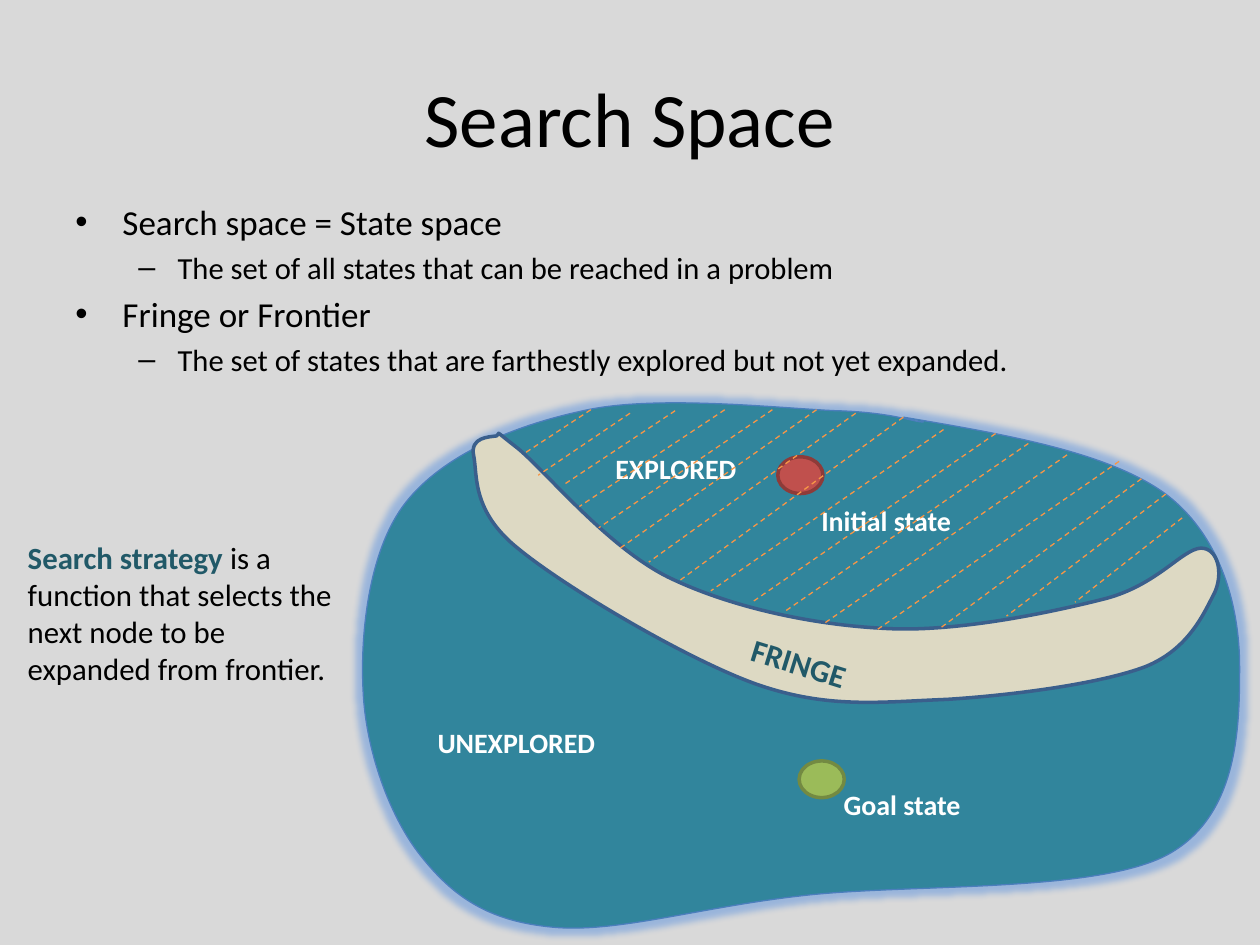
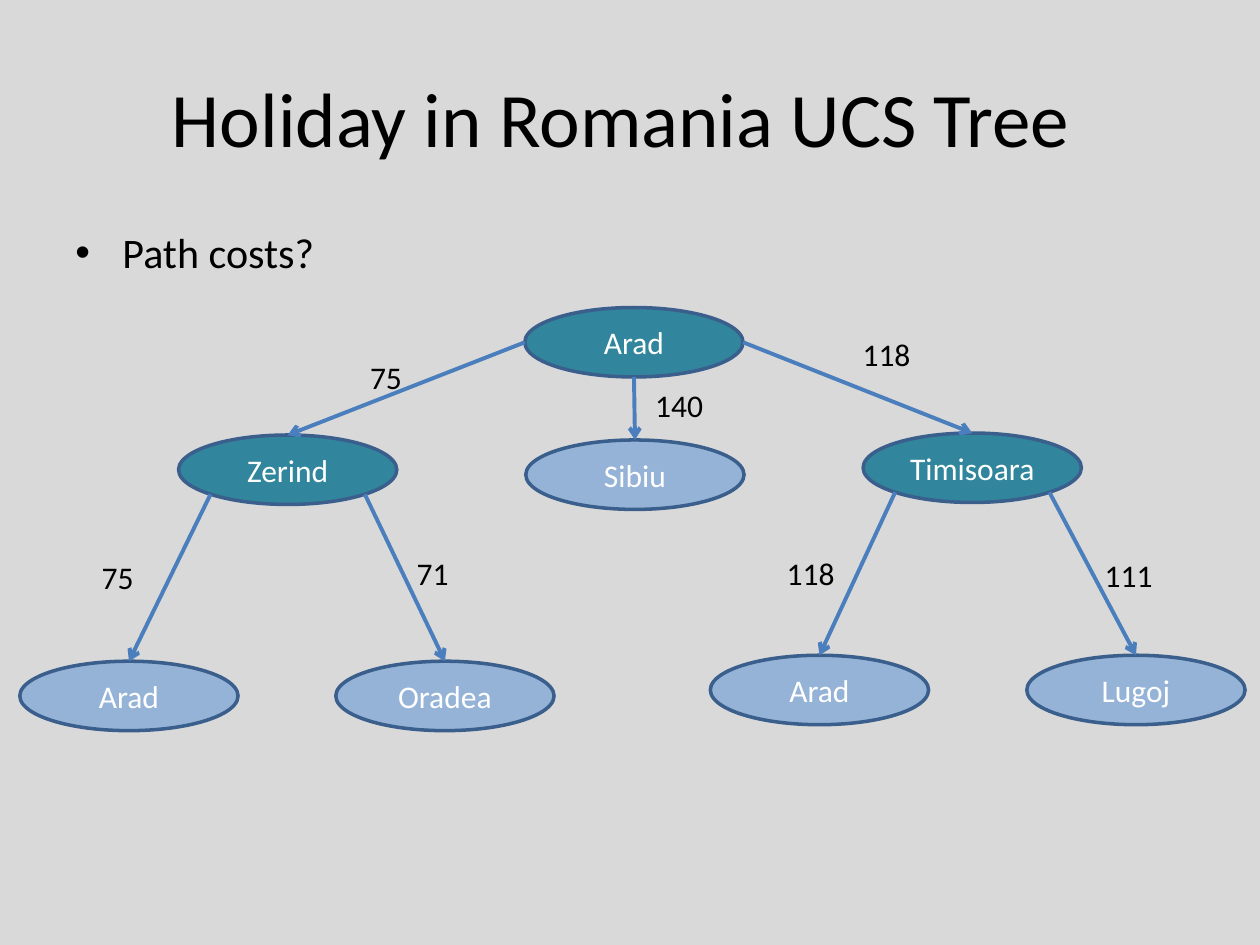
from math import cos, radians, sin

from lxml.etree import SubElement
from pptx import Presentation
from pptx.dml.color import RGBColor
from pptx.enum.dml import MSO_LINE_DASH_STYLE as Dash
from pptx.enum.shapes import MSO_CONNECTOR as Connector, MSO_SHAPE as Shape
from pptx.enum.text import MSO_ANCHOR as Anchor, MSO_AUTO_SIZE as AutoSize, PP_ALIGN as Align
from pptx.oxml.ns import qn
from pptx.util import Cm, Pt

FONT = "Calibri"
COLOURS = {
    "background": "D9D9D9", "text": "000000", "white": "FFFFFF",
    "teal": "31859C", "dark teal": "215968", "pale blue": "95B3D7",
    "sand": "DDD9C3", "red": "C0504D", "dark red": "8E3B39",
    "green": "9BBB59", "dark green": "738A42", "orange": "F79646",
    "navy": "3A5F8C", "blue": "4B7EBC", "glow": "3A7FE0",
}
RGB = {name: RGBColor.from_string(value) for name, value in COLOURS.items()}


def add_text(slide, box, text, size, colour="text", bold=False, align=Align.LEFT):
    """Add a text box that grows with its text."""
    shape = slide.shapes.add_textbox(*map(Cm, box))
    frame = shape.text_frame
    frame.word_wrap = True
    frame.auto_size = AutoSize.SHAPE_TO_FIT_TEXT
    frame.text = text
    paragraph = frame.paragraphs[0]
    paragraph.alignment = align
    font = paragraph.font
    font.name, font.size, font.bold = FONT, Pt(size), bold
    font.color.rgb = RGB[colour]
    return shape


def set_style(shape, line, width, fill=None):
    """Set line and fill, and return the emptied effect list."""
    shape.line.color.rgb = RGB[line]
    shape.line.width = Pt(width)
    if fill:
        shape.fill.solid()
        shape.fill.fore_color.rgb = RGB[fill]
    return SubElement(shape._element.spPr, qn("a:effectLst"))


presentation = Presentation()
presentation.slide_width, presentation.slide_height = Cm(25.4), Cm(19.05)
background = presentation.slide_master.background.fill
background.solid()
background.fore_color.rgb = RGB["background"]

# Titles
slides = []
for title_text in ("Search Space", "Holiday in Romania UCS Tree "):
    slide = presentation.slides.add_slide(presentation.slide_layouts[5])
    title = slide.shapes.title
    title.left, title.top, title.width, title.height = map(Cm, (1.27, 0.76, 22.86, 3.18))
    title.text_frame.text = title_text
    title.text_frame.vertical_anchor = Anchor.MIDDLE
    paragraph = title.text_frame.paragraphs[0]
    paragraph.alignment = Align.CENTER
    paragraph.font.name, paragraph.font.size = FONT, Pt(44)
    paragraph.font.color.rgb = RGB["text"]
    slides.append(slide)
space_slide, tree_slide = slides

# Bullet lists: level, size, text
bullet_styles = [("•", 0.95, -0.95), ("–", 2.06, -0.79)]
bullet_lists = [
    (space_slide, (1.27, 3.92, 22.86, 4.22), [
        (0, 20, "Search space = State space"),
        (1, 17.5, "The set of all states that can be reached in a problem"),
        (0, 20, "Fringe or Frontier"),
        (1, 17.5, "The set of states that are farthestly explored but not yet expanded."),
    ]),
    (tree_slide, (1.27, 4.45, 22.86, 12.57), [(0, 24, "Path costs?")]),
]
for slide, box, items in bullet_lists:
    frame = slide.shapes.add_textbox(*map(Cm, box)).text_frame
    frame.word_wrap = True
    for index, (level, size, text) in enumerate(items):
        paragraph = frame.add_paragraph() if index else frame.paragraphs[0]
        paragraph.text = text
        paragraph.level = level
        mark, margin, indent = bullet_styles[level]
        properties = paragraph._p.get_or_add_pPr()
        properties.set("marL", str(Cm(margin)))
        properties.set("indent", str(Cm(indent)))
        SubElement(properties, qn("a:buFont"), typeface="Arial")
        SubElement(properties, qn("a:buChar"), char=mark)
        if index:
            paragraph.space_before = Pt(size * 0.2)
        paragraph.font.name, paragraph.font.size = FONT, Pt(size)
        paragraph.font.color.rgb = RGB["text"]

# State space and fringe: start, then two control points and an end per curve
space_curves = [
    (20.29, 8.76), (22.35, 9.12), (23.5, 9.96),
    (24.61, 10.8), (24.99, 12.22), (24.99, 13.44),
    (24.99, 14.66), (24.97, 16.48), (23.5, 17.25),
    (22.02, 18.01), (18.24, 17.81), (16.15, 18.06),
    (14.1, 18.29), (12.4, 18.82), (11.13, 18.69),
    (9.83, 18.57), (9.12, 18.06), (8.48, 17.25),
    (7.85, 16.46), (7.37, 15.11), (7.32, 13.92),
    (7.26, 12.75), (7.44, 11.07), (8.18, 10.13),
    (8.92, 9.19), (10.31, 8.59), (11.76, 8.28),
    (13.21, 7.95), (15.7, 8.23), (16.84, 8.28),
    (17.98, 8.31), (18.42, 8.51), (18.62, 8.51),
]
fringe_curves = [
    (11.02, 9.52), (12.24, 11.02), (13.46, 11.63),
    (14.71, 12.24), (16.38, 12.6), (17.86, 12.67),
    (19.3, 12.75), (21.21, 12.34), (22.28, 12.07),
    (23.34, 11.79), (23.83, 11.07), (24.21, 11.05),
    (24.56, 11.05), (24.66, 11.56), (24.49, 11.94),
    (24.28, 12.34), (23.98, 13.08), (23.09, 13.44),
    (22.17, 13.79), (20.37, 14.02), (19.08, 14.1),
    (17.75, 14.15), (16.69, 14.3), (15.24, 13.79),
    (13.82, 13.28), (11.4, 11.84), (10.46, 11.07),
    (9.5, 10.31), (9.63, 9.58), (9.55, 9.19),
    (9.47, 8.81), (9.86, 8.81), (10.01, 8.79),
    (10.13, 8.76), (9.86, 8.59), (10.44, 9.04),
]
effects = []
for start, curves, closed, fill, line, width in [
    ((18.21, 8.41), space_curves, False, "teal", "blue", 0.75),
    ((10.44, 9.04), fringe_curves, True, "sand", "navy", 2),
]:
    builder = space_slide.shapes.build_freeform(*map(Cm, start))
    builder.add_line_segments([(Cm(x), Cm(y)) for x, y in curves], close=closed)
    outline = builder.convert_to_shape()
    # Join every three line segments into one cubic curve
    segments = list(outline._element.iter(qn("a:lnTo")))
    for first in range(0, len(segments), 3):
        curve = segments[first]
        curve.tag = qn("a:cubicBezTo")
        for segment in segments[first + 1:first + 3]:
            curve.append(segment[0])
            segment.getparent().remove(segment)
    effects.append(set_style(outline, line, width, fill))

# Glow round the state space
glow = SubElement(effects[0], qn("a:glow"), rad=str(Pt(8)))
glow_colour = SubElement(glow, qn("a:srgbClr"), val=COLOURS["glow"])
SubElement(glow_colour, qn("a:alpha"), val="40000")

# Initial and goal states
for left, top, fill, line in [(15.68, 9.21, "red", "dark red"),
                              (16.11, 15.34, "green", "dark green")]:
    state = space_slide.shapes.add_shape(Shape.OVAL, Cm(left), Cm(top), Cm(0.91), Cm(0.74))
    set_style(state, line, 2, fill)

# Labels in the state space
for left, top, width, text in [
    (16.24, 10.03, 3.25, "Initial state"),
    (12.09, 8.98, 3.07, "EXPLORED"),
    (8.48, 14.5, 3.86, "UNEXPLORED"),
    (16.7, 15.75, 2.97, "Goal state"),
]:
    add_text(space_slide, (left, top, width, 0.94), text, 16, "white", True, Align.CENTER)
fringe_label = add_text(space_slide, (14.86, 12.85, 2.49, 1.02), "FRINGE", 18,
                        "dark teal", True, Align.CENTER)
fringe_label.text_frame.word_wrap = False
fringe_label.rotation = 17.2

# Search strategy
strategy = add_text(space_slide, (0.31, 10.74, 6.99, 4.22), "Search strategy ", 17.6)
strategy.text_frame.auto_size = AutoSize.NONE
paragraph = strategy.text_frame.paragraphs[0]
term = paragraph.runs[0].font
term.bold, term.color.rgb = True, RGB["dark teal"]
paragraph.add_run().text = "is a function that selects the next node to be expanded from frontier."

# Hatching of the explored part
for hatch in [
    (12.7, 8.33, 10.85, 9.58), (13.61, 8.28, 11.35, 9.78),
    (11.91, 8.26, 10.57, 9.14), (14.61, 8.26, 11.68, 10.21),
    (15.57, 8.26, 12.07, 10.64), (16.46, 8.26, 12.5, 11.05),
    (17.25, 8.33, 13.08, 11.33), (18.21, 8.41, 13.69, 11.71),
    (19.02, 8.66, 14.33, 11.91), (20.07, 8.74, 15.16, 12.14),
    (20.73, 8.94, 15.8, 12.34), (21.51, 9.17, 16.61, 12.57),
    (22.56, 9.3, 17.63, 12.73), (23.01, 9.65, 18.97, 12.65),
    (23.5, 9.96, 20.29, 12.42), (23.83, 10.44, 21.67, 12.14),
]:
    connector = space_slide.shapes.add_connector(Connector.STRAIGHT, *map(Cm, hatch))
    set_style(connector, "orange", 0.75)
    connector.line.dash_style = Dash.DASH

# Tree nodes: left, top, city, fill
NODE_WIDTH, NODE_HEIGHT = 4.4, 1.4
nodes = {
    "root": (10.58, 6.2, "Arad", "teal"),
    "zerind": (3.6, 8.77, "Zerind", "teal"),
    "sibiu": (10.6, 8.87, "Sibiu", "pale blue"),
    "timisoara": (17.4, 8.73, "Timisoara", "teal"),
    "arad left": (0.4, 13.33, "Arad", "pale blue"),
    "oradea": (6.77, 13.33, "Oradea", "pale blue"),
    "arad right": (14.32, 13.21, "Arad", "pale blue"),
    "lugoj": (20.7, 13.21, "Lugoj", "pale blue"),
}
for left, top, city, fill in nodes.values():
    node = tree_slide.shapes.add_shape(Shape.OVAL, Cm(left), Cm(top),
                                       Cm(NODE_WIDTH), Cm(NODE_HEIGHT))
    set_style(node, "navy", 2, fill)
    node.text_frame.text = city
    node.text_frame.vertical_anchor = Anchor.MIDDLE
    paragraph = node.text_frame.paragraphs[0]
    paragraph.alignment = Align.CENTER
    paragraph.font.name, paragraph.font.size = FONT, Pt(18)
    paragraph.font.color.rgb = RGB["white"]

# Tree edges: parent, child, angle where the parent is left, cost and its place
for parent, child, angle, cost, cost_left, cost_top in [
    ("root", "zerind", 180, 75, 7.21, 7.09),
    ("root", "sibiu", 90, 140, 12.96, 7.65),
    ("root", "timisoara", 0, 118, 17.14, 6.63),
    ("zerind", "arad left", 135, 75, 1.8, 11.13),
    ("zerind", "oradea", 45, 71, 8.15, 11.05),
    ("timisoara", "arad right", 135, 118, 15.61, 11.05),
    ("timisoara", "lugoj", 45, 111, 22.02, 11.09),
]:
    parent_left, parent_top = nodes[parent][:2]
    child_left, child_top = nodes[child][:2]
    edge = (parent_left + NODE_WIDTH / 2 * (1 + cos(radians(angle))),
            parent_top + NODE_HEIGHT / 2 * (1 + sin(radians(angle))),
            child_left + NODE_WIDTH / 2, child_top)
    connector = tree_slide.shapes.add_connector(Connector.STRAIGHT, *map(Cm, edge))
    set_style(connector, "blue", 2.25)
    SubElement(connector._element.spPr.find(qn("a:ln")), qn("a:tailEnd"), type="arrow")
    add_text(tree_slide, (cost_left, cost_top, 1.6, 1.02), str(cost), 18)

presentation.save("out.pptx")
